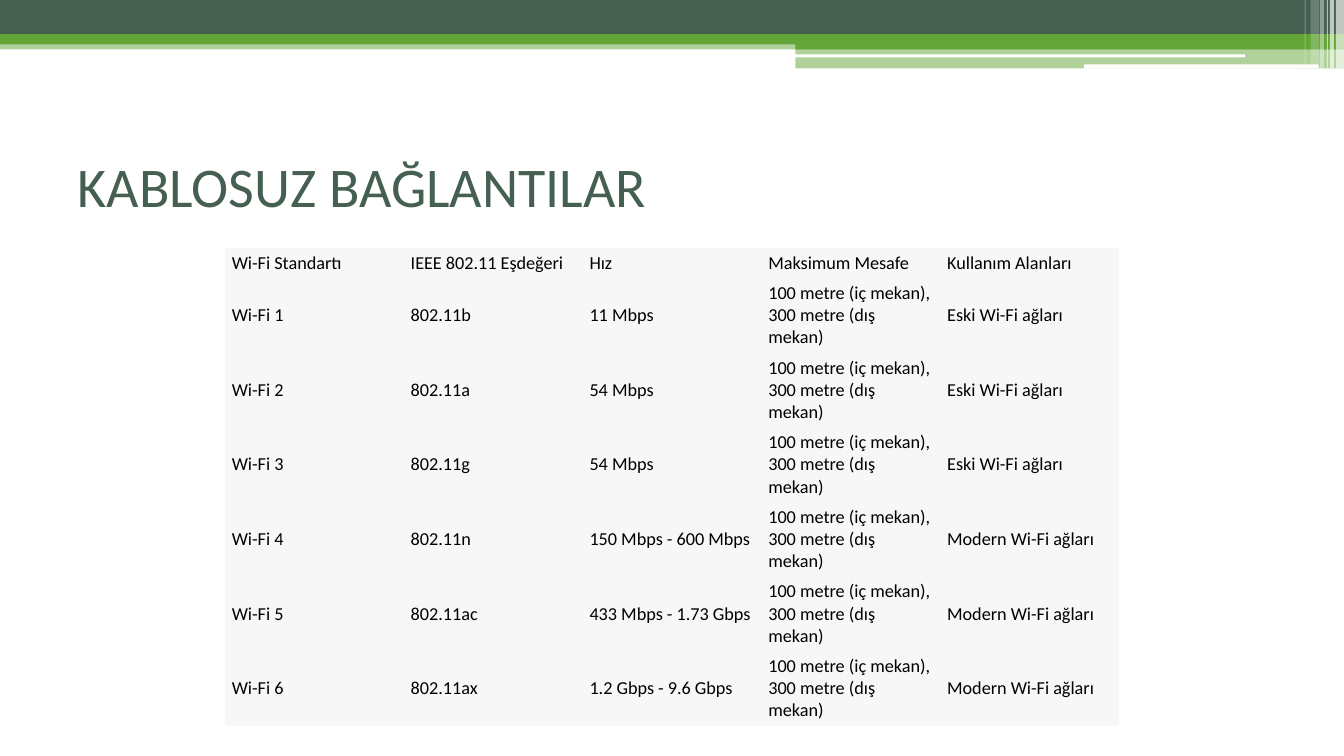
from dataclasses import dataclass

from lxml import etree
from pptx import Presentation
from pptx.dml.color import RGBColor
from pptx.enum import shapes, text
from pptx.oxml.ns import qn
from pptx.util import Inches, Pt


@dataclass(frozen=True)
class Theme:
    dark: str = "455F51"
    green: str = "63A537"
    white: str = "FFFFFF"
    black: str = "000000"
    cell: str = "F7F7F7"
    font: str = "Calibri"
    title_size: int = 40
    table_size: int = 13


T = Theme()


def add_bar(s, box, color, opacity=100, kind=shapes.MSO_SHAPE.RECTANGLE):
    sp = s.shapes.add_shape(kind, *[Inches(v) for v in box])
    sp.shadow.inherit = False
    sp.line.fill.background()
    sp.fill.solid()
    sp.fill.fore_color.rgb = RGBColor.from_string(color)
    if opacity < 100:
        clr = sp._element.spPr.find(qn("a:solidFill"))[0]
        etree.SubElement(clr, qn("a:alpha")).set("val", str(opacity * 1000))
    return sp


def add_text(p, words, size, color):
    r = p.add_run()
    r.text = words
    r.font.name = T.font
    r.font.size = Pt(size)
    r.font.color.rgb = RGBColor.from_string(color)


prs = Presentation()
prs.slide_width, prs.slide_height = Inches(13.33), Inches(7.5)
s = prs.slides.add_slide(prs.slide_layouts[5])

# Header bands
for box, color, opacity in [
    ((0, 0.4, 13.33, 0.09), T.green, 50),
    ((0, 0, 13.33, 0.34), T.dark, 100),
    ((0, 0.34, 13.33, 0.1), T.green, 100),
    ((7.89, 0.39, 5.44, 0.1), T.green, 100),
    ((7.89, 0.48, 5.44, 0.2), T.green, 50),
]:
    add_bar(s, box, color, opacity)

# White rules inside the right band
for box in [(7.88, 0.54, 4.47, 0.03), (10.75, 0.64, 2.33, 0.04)]:
    add_bar(s, box, T.white, kind=shapes.MSO_SHAPE.ROUNDED_RECTANGLE)

# Translucent stripes at the right edge
for left, width, height, opacity in [
    (13.25, 0.08, 0.68, 65),
    (13.19, 0.04, 0.68, 65),
    (13.16, 0.01, 0.68, 60),
    (13.09, 0.04, 0.68, 40),
    (13, 0.08, 0.64, 20),
    (12.94, 0.01, 0.64, 30),
]:
    add_bar(s, (left, 0, width, height), T.white, opacity)

# Title
title = s.shapes.title
title.left, title.top = Inches(0.67), Inches(1.25)
title.width, title.height = Inches(12), Inches(1.17)
tf = title.text_frame
tf.word_wrap = True
tf.vertical_anchor = text.MSO_ANCHOR.MIDDLE
p = tf.paragraphs[0]
p.alignment = text.PP_ALIGN.LEFT
add_text(p, "KABLOSUZ BAĞLANTILAR", T.title_size, T.dark)

# Table content
distance = "100 metre (iç mekan), 300 metre (dış mekan)"
old, modern = "Eski Wi-Fi ağları", "Modern Wi-Fi ağları"
standards = [
    ("802.11b", "11 Mbps", old),
    ("802.11a", "54 Mbps", old),
    ("802.11g", "54 Mbps", old),
    ("802.11n", "150 Mbps - 600 Mbps", modern),
    ("802.11ac", "433 Mbps - 1.73 Gbps", modern),
    ("802.11ax", "1.2 Gbps - 9.6 Gbps", modern),
]
rows = [("Wi-Fi Standartı", "IEEE 802.11 Eşdeğeri", "Hız",
         "Maksimum Mesafe", "Kullanım Alanları")]
for number, (ieee, speed, use) in enumerate(standards, 1):
    rows.append((f"Wi-Fi {number}", ieee, speed, distance, use))

# Table without style or grid
table = s.shapes.add_table(len(rows), len(rows[0]), Inches(2.23), Inches(2.46),
                           Inches(8.87), Inches(4.73)).table
table.first_row = table.horz_banding = False
style = table._tbl.tblPr.find(qn("a:tableStyleId"))
style.text = "{2D5ABB26-0587-4C30-8999-92F81FD0307C}"

for i, row in enumerate(rows):
    table.rows[i].height = Inches(0.74 if i else 0.3)
    for j, words in enumerate(row):
        cell = table.cell(i, j)
        cell.fill.solid()
        cell.fill.fore_color.rgb = RGBColor.from_string(T.cell)
        cell.vertical_anchor = text.MSO_ANCHOR.MIDDLE
        cell.margin_left = cell.margin_right = Inches(0.07)
        cell.margin_top = cell.margin_bottom = Inches(0.04)
        add_text(cell.text_frame.paragraphs[0], words, T.table_size, T.black)

prs.save("out.pptx")
